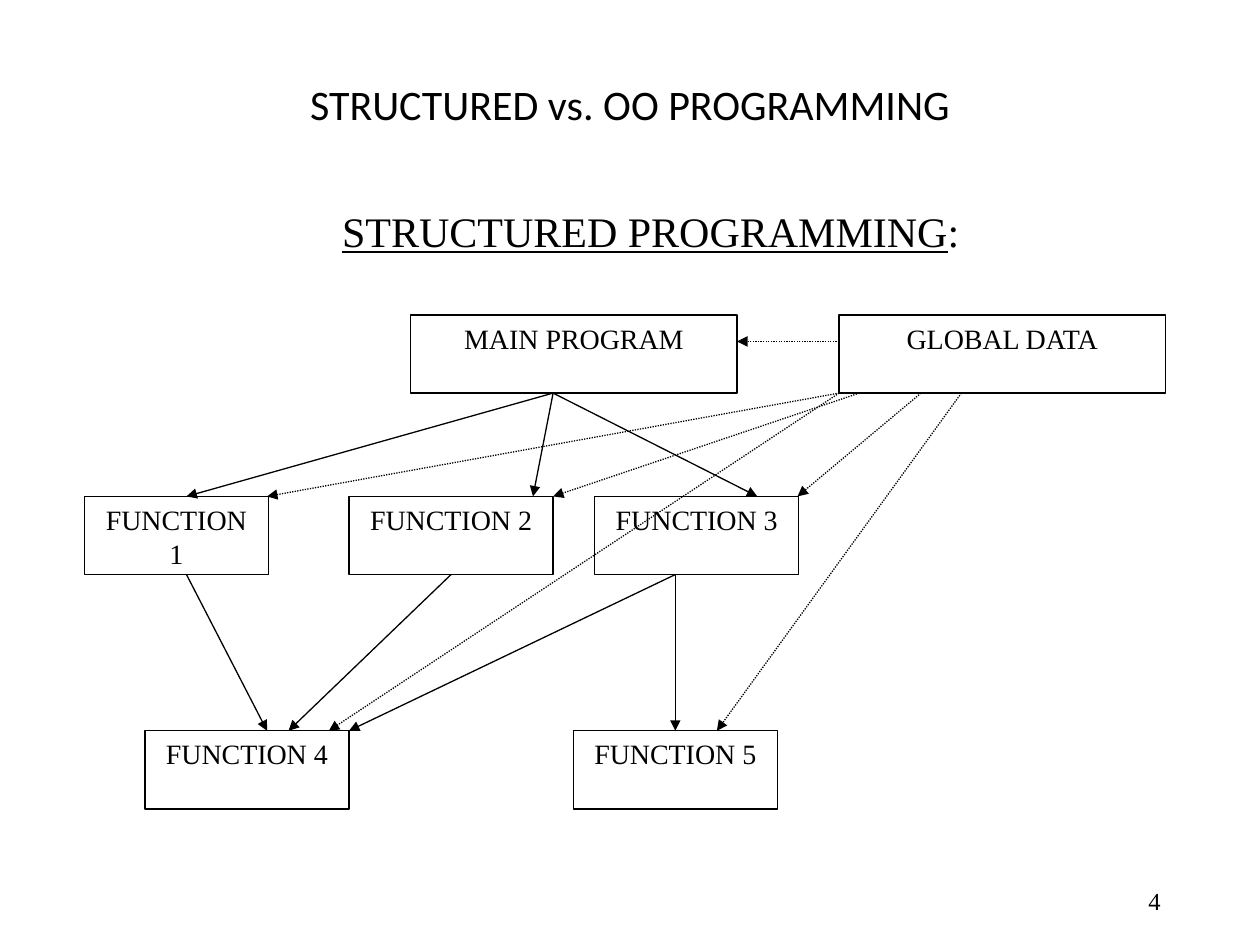
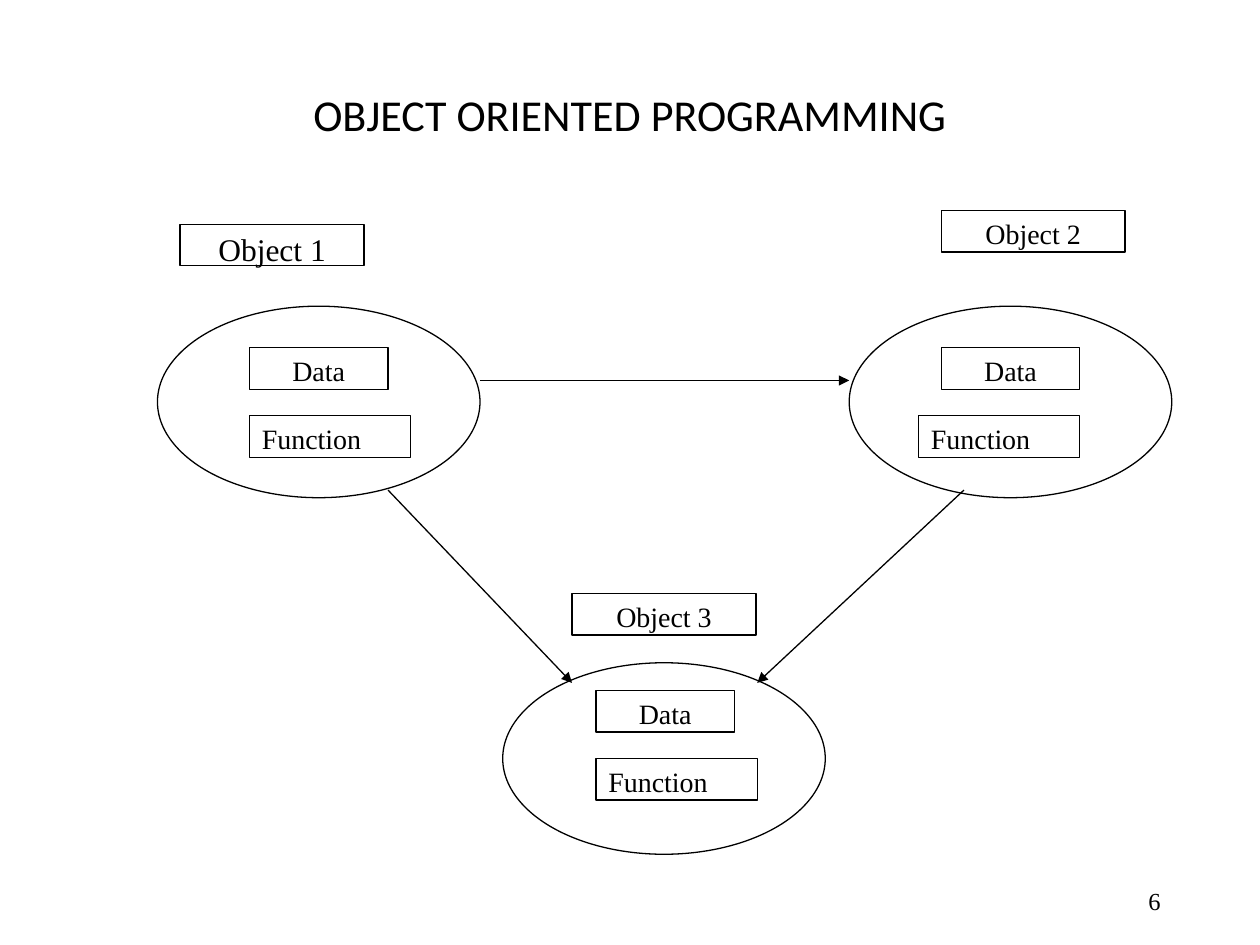
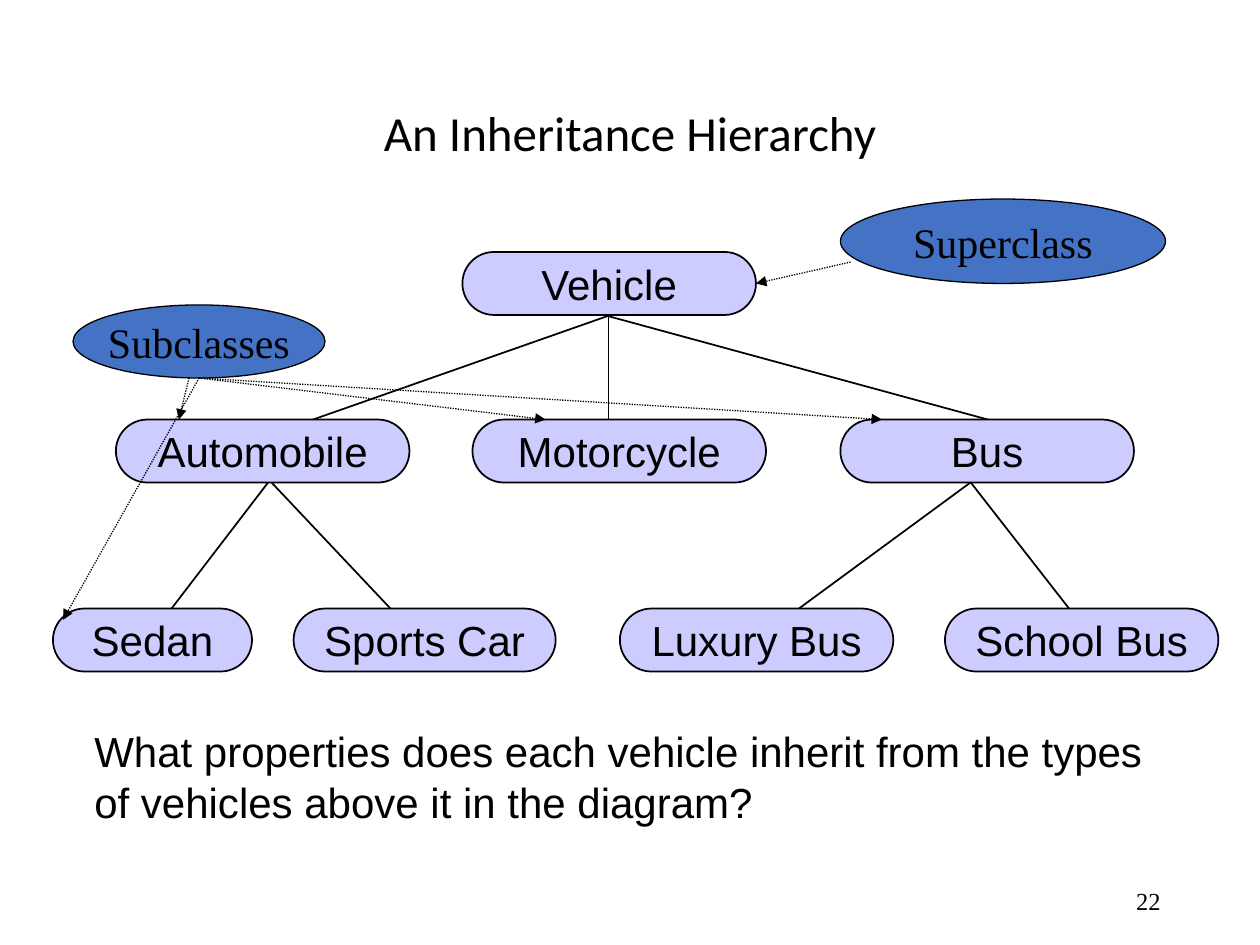
from lxml.etree import SubElement
from pptx import Presentation
from pptx.dml.color import RGBColor
from pptx.enum.dml import MSO_LINE
from pptx.enum.shapes import MSO_CONNECTOR, MSO_SHAPE
from pptx.enum.text import MSO_ANCHOR, MSO_AUTO_SIZE, PP_ALIGN
from pptx.oxml.ns import qn
from pptx.util import Emu, Pt

PX = 9144
COLOURS = {"ink": "000000", "paper": "FFFFFF", "class": "CCCCFF", "callout": "4472C4"}
TITLE_FONT, SERIF, SANS = "Calibri", "Times New Roman", "Arial"

STRUCTURED = {"title": "STRUCTURED vs. OO PROGRAMMING", "number": "4",
              "size": 24, "top": 50, "height": 58}
OBJECTS = {"title": "OBJECT ORIENTED PROGRAMMING", "number": "6",
           "size": 25.2, "top": 67, "height": 50}
INHERITANCE = {"title": "An Inheritance Hierarchy", "number": "22",
               "size": 28, "top": 42, "height": 92}

HEADING = "STRUCTURED PROGRAMMING"
MODULE_HEIGHT = 62
MODULES = {
    "MAIN PROGRAM": (326, 250, 259),
    "GLOBAL DATA": (666, 250, 259),
    "FUNCTION 1": (67, 394, 146),
    "FUNCTION 2": (277, 394, 162),
    "FUNCTION 3": (472, 394, 162),
    "FUNCTION 4": (115, 580, 162),
    "FUNCTION 5": (455, 580, 162),
}
CALLS = [
    ("MAIN PROGRAM", 439, "FUNCTION 1", 148),
    ("MAIN PROGRAM", 439, "FUNCTION 2", 423),
    ("MAIN PROGRAM", 439, "FUNCTION 3", 601),
    ("FUNCTION 1", 148, "FUNCTION 4", 212),
    ("FUNCTION 2", 358, "FUNCTION 4", 229),
    ("FUNCTION 3", 536, "FUNCTION 4", 277),
    ("FUNCTION 3", 536, "FUNCTION 5", 536),
]
DATA_USES = [
    ("GLOBAL DATA", 666, "FUNCTION 1", 212),
    ("GLOBAL DATA", 682, "FUNCTION 2", 439),
    ("GLOBAL DATA", 731, "FUNCTION 3", 633),
    ("GLOBAL DATA", 763, "FUNCTION 5", 569),
    ("GLOBAL DATA", 666, "FUNCTION 4", 261),
]
MAIN_DATA_USE = (666, 271, 585, 271)

OBJECT_PARTS = [
    {"name": "Object 1", "size": 18, "label": (143, 178), "body": (125, 243),
     "data": (198, 276), "function_left": 198},
    {"name": "Object 2", "size": 16, "label": (747, 167), "body": (674, 243),
     "data": (747, 276), "function_left": 729},
    {"name": "Object 3", "size": 16, "label": (454, 471), "body": (399, 526),
     "data": (473, 548), "function_left": 473},
]
MESSAGES = [(381, 302, 674, 302), (765, 389, 601, 542), (308, 389, 454, 542)]
PART_HEIGHT = 33
FUNCTION_DROP = 54

CLASS_HEIGHT = 50
CLASS_LEVELS = [
    (200, [("Vehicle", 367, 233)]),
    (333, [("Automobile", 92, 233), ("Motorcycle", 375, 233), ("Bus", 667, 233)]),
    (483, [("Sedan", 42, 158), ("Sports Car", 233, 208),
           ("Luxury Bus", 492, 217), ("School Bus", 750, 217)]),
]
BRANCHES = [
    (533, 233, 200, 350), (483, 225, 483, 367), (417, 233, 817, 342),
    (225, 367, 117, 508), (192, 358, 342, 517),
    (792, 367, 600, 508), (758, 367, 875, 517),
]
CALLOUTS = [
    ("Superclass", (667, 158, 258, 67), [(675, 208, 600, 225)]),
    ("Subclasses", (58, 242, 200, 58),
     [(150, 300, 142, 333), (158, 300, 433, 333),
      (158, 300, 700, 333), (158, 300, 50, 492)]),
]
QUESTION = ("What properties does each vehicle inherit from the types "
            "of vehicles above it in the diagram?")


def colour(name):
    """Return the named palette colour."""
    return RGBColor.from_string(COLOURS[name])


def place(box):
    """Turn lengths in px into EMU."""
    return [Emu(length * PX) for length in box]


def write(frame, text, size, font, align, anchor=MSO_ANCHOR.TOP, wrap=True):
    """Fill a text frame with one formatted paragraph."""
    frame.text = text
    frame.word_wrap = wrap
    frame.auto_size = MSO_AUTO_SIZE.NONE
    frame.vertical_anchor = anchor
    paragraph = frame.paragraphs[0]
    paragraph.alignment = align
    paragraph.font.size = Pt(size)
    paragraph.font.name = font
    paragraph.font.color.rgb = colour("ink")
    return paragraph


def add_text(slide, box, text, size, font, align, anchor=MSO_ANCHOR.TOP):
    """Add a wrapped text box and return its paragraph."""
    frame = slide.shapes.add_textbox(*place(box)).text_frame
    return write(frame, text, size, font, align, anchor)


def add_outline(slide, kind, box, fill="paper", width=0.75):
    """Add a filled shape with a black outline."""
    shape = slide.shapes.add_shape(kind, *place(box))
    shape.shadow.inherit = False
    shape.fill.solid()
    shape.fill.fore_color.rgb = colour(fill)
    shape.line.color.rgb = colour("ink")
    shape.line.width = Pt(width)
    return shape


def add_box(slide, box, text, size=16, align=PP_ALIGN.CENTER):
    """Add a white box with text at its top."""
    shape = add_outline(slide, MSO_SHAPE.RECTANGLE, box)
    write(shape.text_frame, text, size, SERIF, align)


def add_link(slide, ends, width=0.75, dotted=False, arrow=True):
    """Add a straight line, with an arrowhead at its end if asked."""
    link = slide.shapes.add_connector(MSO_CONNECTOR.STRAIGHT, *place(ends))
    link.line.color.rgb = colour("ink")
    link.line.width = Pt(width)
    if dotted:
        link.line.dash_style = MSO_LINE.ROUND_DOT
    properties = link.element.spPr
    if arrow:
        SubElement(properties.find(qn("a:ln")), qn("a:tailEnd"), type="triangle")
    SubElement(properties, qn("a:effectLst"))


def add_slide(deck, header):
    """Add a slide with its title and number."""
    slide = deck.slides.add_slide(deck.slide_layouts[5])
    title = slide.shapes.title
    title.left, title.top, title.width, title.height = place(
        (75, header["top"], 850, header["height"]))
    paragraph = write(title.text_frame, header["title"], header["size"], TITLE_FONT,
                      PP_ALIGN.CENTER, MSO_ANCHOR.BOTTOM)
    paragraph.line_spacing = 0.9
    add_text(slide, (706, 695, 225, 40), header["number"], 14, SERIF,
             PP_ALIGN.RIGHT, MSO_ANCHOR.MIDDLE)
    return slide


def build_structured(deck):
    """Draw the modules, their calls and their use of global data."""
    slide = add_slide(deck, STRUCTURED)
    heading = add_text(slide, (58, 158, 917, 414), HEADING, 24, SERIF, PP_ALIGN.CENTER)
    heading.runs[0].font.underline = True
    heading.add_run().text = ":"
    for name, (left, top, width) in MODULES.items():
        add_box(slide, (left, top, width, MODULE_HEIGHT), name)
    add_link(slide, MAIN_DATA_USE, dotted=True)
    for links, dotted in ((CALLS, False), (DATA_USES, True)):
        for source, start, target, end in links:
            bottom = MODULES[source][1] + MODULE_HEIGHT
            add_link(slide, (start, bottom, end, MODULES[target][1]), dotted=dotted)


def build_objects(deck):
    """Draw the objects and the messages between them."""
    slide = add_slide(deck, OBJECTS)
    for part in OBJECT_PARTS:
        data_left, data_top = part["data"]
        add_box(slide, (*part["label"], 146, PART_HEIGHT), part["name"], part["size"])
        add_outline(slide, MSO_SHAPE.OVAL, (*part["body"], 256, 152))
        add_box(slide, (data_left, data_top, 110, PART_HEIGHT), "Data")
        add_box(slide, (part["function_left"], data_top + FUNCTION_DROP, 128, PART_HEIGHT),
                "Function", align=PP_ALIGN.LEFT)
    for message in MESSAGES:
        add_link(slide, message)


def build_inheritance(deck):
    """Draw the class tree, its callouts and the question."""
    slide = add_slide(deck, INHERITANCE)
    for branch in BRANCHES:
        add_link(slide, branch, width=1, arrow=False)
    for top, classes in CLASS_LEVELS:
        for name, left, width in classes:
            pill = add_outline(slide, MSO_SHAPE.ROUNDED_RECTANGLE,
                               (left, top, width, CLASS_HEIGHT), "class", 1)
            pill.adjustments[0] = 0.5
            write(pill.text_frame, name, 24, SANS, PP_ALIGN.CENTER,
                  MSO_ANCHOR.MIDDLE, wrap=False)
    add_text(slide, (65, 571, 868, 90), QUESTION, 24, SANS, PP_ALIGN.LEFT)
    for name, box, pointers in CALLOUTS:
        callout = add_outline(slide, MSO_SHAPE.OVAL, box, "callout")
        write(callout.text_frame, name, 24, SERIF, PP_ALIGN.CENTER,
              MSO_ANCHOR.MIDDLE, wrap=False)
        for pointer in pointers:
            add_link(slide, pointer, dotted=True)


def main():
    """Build and save the deck."""
    deck = Presentation()
    deck.slide_width, deck.slide_height = place((1000, 750))
    build_structured(deck)
    build_objects(deck)
    build_inheritance(deck)
    deck.save("out.pptx")


if __name__ == "__main__":
    main()
